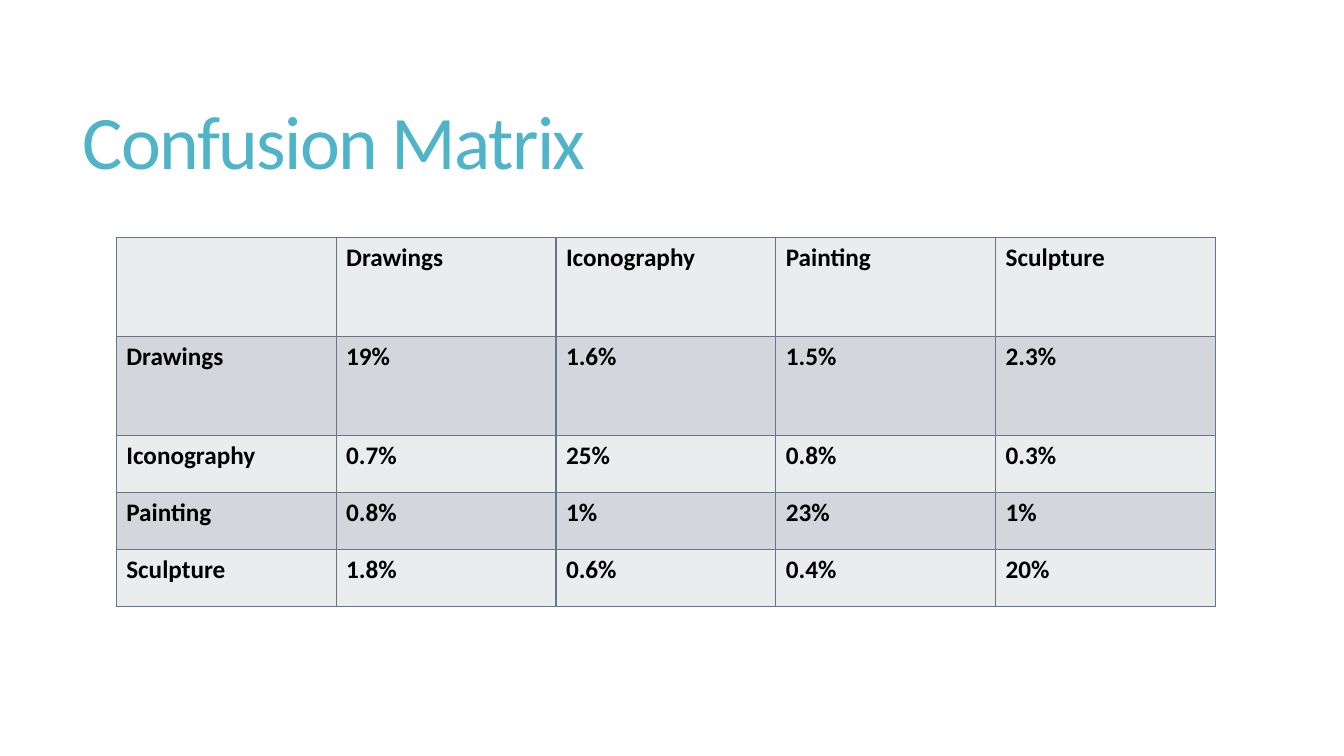
from dataclasses import dataclass

from lxml import etree
from pptx import Presentation
from pptx.dml.color import RGBColor
from pptx.enum import text
from pptx.oxml import ns
from pptx.util import Cm, Pt

TITLE = "Confusion Matrix"
CLASSES = ["Drawings", "Iconography", "Painting", "Sculpture"]
SHARES = [
    ["19%", "1.6%", "1.5%", "2.3%"],
    ["0.7%", "25%", "0.8%", "0.3%"],
    ["0.8%", "1%", "23%", "1%"],
    ["1.8%", "0.6%", "0.4%", "20%"],
]
ROW_HEIGHTS = [2.49, 2.49, 1.44, 1.44, 1.44]
COLUMN_WIDTH = 5.54
TITLE_BOX = {"left": 1.83, "top": 1.4, "width": 29.92, "height": 4.6}
TABLE_CORNER = (2.93, 5.99)


@dataclass(frozen=True)
class Theme:
    font: str = "Calibri"
    title_color: str = "50B4C8"
    text_color: str = "000000"
    border_color: str = "657689"
    bands: tuple = ("EAECED", "D3D6DA")
    title_size: int = 54
    cell_size: int = 18
    border_width: int = 1
    title_spacing: float = -1.2


THEME = Theme()


def set_all(obj, values):
    for name, value in values.items():
        setattr(obj, name, value)


def set_font(font, size, color, bold):
    set_all(font, {"name": THEME.font, "size": Pt(size), "bold": bold})
    font.color.rgb = RGBColor.from_string(color)


def add_title(s):
    sp = s.shapes.title
    set_all(sp, {side: Cm(length) for side, length in TITLE_BOX.items()})
    tf = sp.text_frame
    set_all(tf, {"word_wrap": True, "auto_size": text.MSO_AUTO_SIZE.NONE,
                 "vertical_anchor": text.MSO_ANCHOR.MIDDLE})
    p = tf.paragraphs[0]
    set_all(p, {"alignment": text.PP_ALIGN.LEFT, "line_spacing": 0.85})
    r = p.add_run()
    r.text = TITLE
    set_font(r.font, THEME.title_size, THEME.title_color, False)
    r._r.get_or_add_rPr().set("spc", str(round(THEME.title_spacing * 100)))


def add_borders(cell):
    tcPr = cell._tc.get_or_add_tcPr()
    for i, side in enumerate(("lnL", "lnR", "lnT", "lnB")):
        ln = etree.Element(ns.qn(f"a:{side}"), w=str(Pt(THEME.border_width)))
        fill = etree.SubElement(ln, ns.qn("a:solidFill"))
        etree.SubElement(fill, ns.qn("a:srgbClr"), val=THEME.border_color)
        tcPr.insert(i, ln)


def add_matrix(s):
    rows = [[""] + CLASSES] + [[name] + row for name, row in zip(CLASSES, SHARES)]
    n_cols = len(rows[0])
    left, top = TABLE_CORNER
    table = s.shapes.add_table(len(rows), n_cols, Cm(left), Cm(top),
                               Cm(COLUMN_WIDTH * n_cols), Cm(sum(ROW_HEIGHTS))).table
    for column in table.columns:
        column.width = Cm(COLUMN_WIDTH)
    for i, values in enumerate(rows):
        table.rows[i].height = Cm(ROW_HEIGHTS[i])
        for j, value in enumerate(values):
            cell = table.cell(i, j)
            cell.fill.solid()
            cell.fill.fore_color.rgb = RGBColor.from_string(THEME.bands[i % 2])
            add_borders(cell)
            p = cell.text_frame.paragraphs[0]
            if value:
                r = p.add_run()
                r.text = value
                set_font(r.font, THEME.cell_size, THEME.text_color, True)


def main():
    prs = Presentation()
    set_all(prs, {"slide_width": Cm(33.87), "slide_height": Cm(19.05)})
    s = prs.slides.add_slide(prs.slide_layouts.get_by_name("Title Only"))
    add_title(s)
    add_matrix(s)
    prs.save("out.pptx")


if __name__ == "__main__":
    main()
